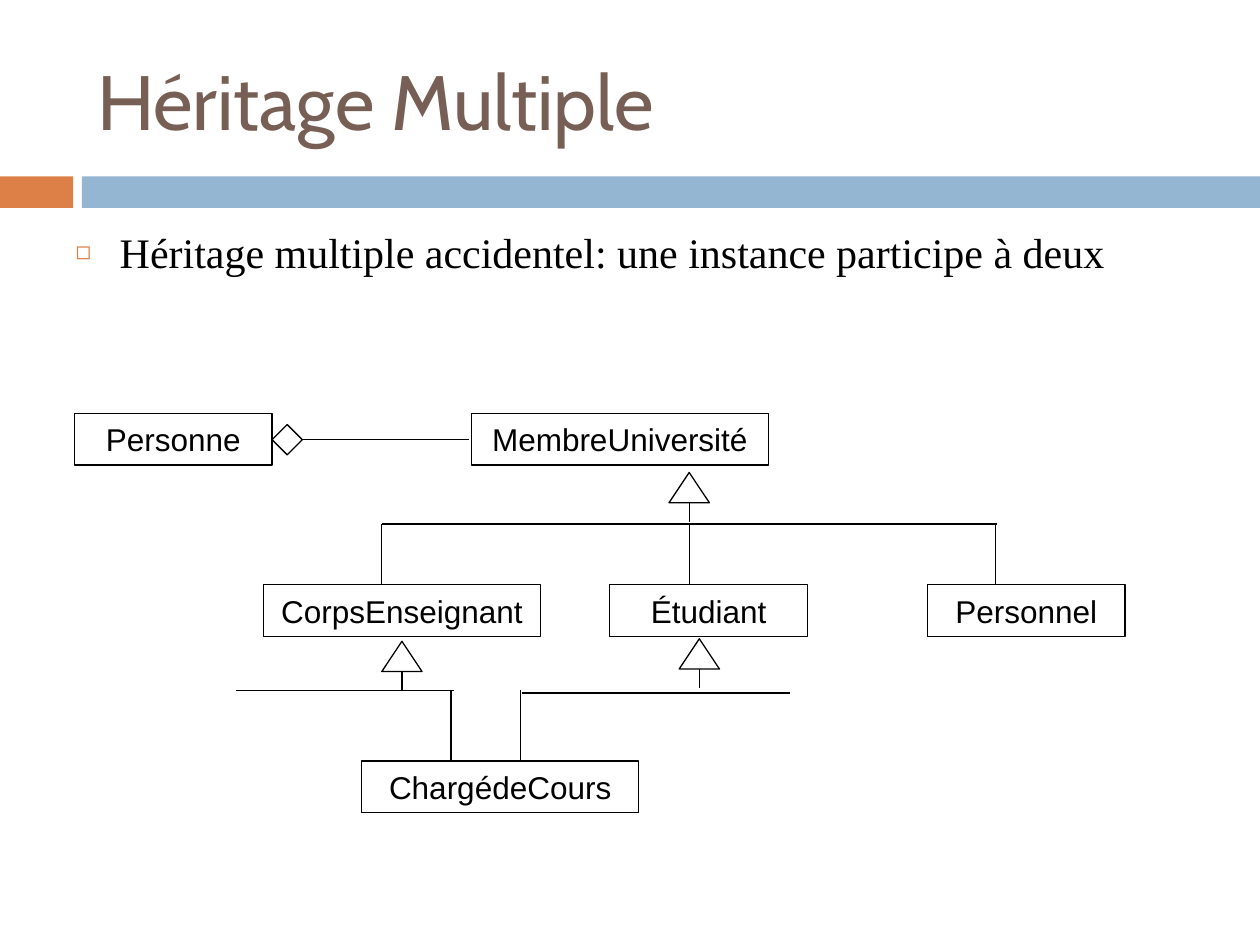
"""Build a slide on multiple inheritance with a class diagram."""
from dataclasses import dataclass

from lxml import etree
from pptx import Presentation
from pptx.dml.color import RGBColor
from pptx.enum.shapes import MSO_CONNECTOR, MSO_SHAPE
from pptx.enum.text import MSO_ANCHOR, MSO_AUTO_SIZE, PP_ALIGN
from pptx.oxml.ns import qn
from pptx.util import Inches, Pt

RECTANGLE = MSO_SHAPE.RECTANGLE
DIAMOND = MSO_SHAPE.DIAMOND
TRIANGLE = MSO_SHAPE.ISOSCELES_TRIANGLE
STRAIGHT = MSO_CONNECTOR.STRAIGHT
MIDDLE, TOP = MSO_ANCHOR.MIDDLE, MSO_ANCHOR.TOP
LEFT, CENTER = PP_ALIGN.LEFT, PP_ALIGN.CENTER
NO_AUTOFIT = MSO_AUTO_SIZE.NONE


@dataclass(frozen=True)
class Theme:
    """Colours, fonts and sizes of the slide."""
    accent: str = "DD8047"
    band: str = "94B6D2"
    title: str = "775F55"
    ink: str = "000000"
    title_font: str = "Cabin"
    body_font: str = "Times New Roman"
    label_font: str = "Arial"
    title_size: int = 44
    body_size: int = 24
    label_size: int = 18
    line_width: float = 0.75


@dataclass(frozen=True)
class Box:
    """A region in inches."""
    left: float
    top: float
    width: float
    height: float

    def emu(self):
        """Return the region as lengths."""
        return [Inches(value) for value in (self.left, self.top, self.width, self.height)]


THEME = Theme()
CLASS_HEIGHT = 0.41
CLASSES = [
    ("Personne", 0, 0, 1.57),
    ("MembreUniversité", 3.15, 0, 2.36),
    ("CorpsEnseignant", 1.5, 1.36, 2.2),
    ("Étudiant", 4.25, 1.36, 1.57),
    ("Personnel", 6.77, 1.36, 1.57),
    ("ChargédeCours", 2.28, 2.76, 2.2),
]
INHERITANCE_ARROWS = [(4.72, 0.47), (2.44, 1.81), (4.8, 1.79)]
LINKS = [
    (1.8, 0.21, 3.13, 0.21),
    (2.44, 0.88, 7.32, 0.88),
    *[(x, 0.88, x, 1.36) for x in (2.44, 4.88, 7.31)],
    (1.28, 2.2, 3.01, 2.2),
    (3.55, 2.22, 5.68, 2.22),
    *[(x, 2.2, x, 2.75) for x in (2.99, 3.54)],
]


def set_values(target, values):
    """Set each named attribute on the target."""
    for name, value in values.items():
        setattr(target, name, value)


def write_text(shape, text, font, size, color, alignment, anchor):
    """Write one formatted paragraph and return it."""
    frame = shape.text_frame
    set_values(frame, {"word_wrap": True, "auto_size": NO_AUTOFIT, "vertical_anchor": anchor})
    paragraph = frame.paragraphs[0]
    paragraph.alignment = alignment
    run = paragraph.add_run()
    run.text = text
    set_values(run.font, {"name": font, "size": Pt(size)})
    run.font.color.rgb = RGBColor.from_string(color)
    return paragraph


def place(shape, box):
    """Move a shape to a region."""
    set_values(shape, dict(zip(("left", "top", "width", "height"), box.emu())))


def add_outline(shapes, kind, box):
    """Add an unfilled shape with a thin line."""
    shape = shapes.add_shape(kind, *box.emu())
    shape.shadow.inherit = False
    shape.fill.background()
    shape.line.color.rgb = RGBColor.from_string(THEME.ink)
    shape.line.width = Pt(THEME.line_width)
    return shape


def add_line(shapes, *points):
    """Add a straight line between two points."""
    connector = shapes.add_connector(STRAIGHT, *[Inches(value) for value in points])
    connector.line.color.rgb = RGBColor.from_string(THEME.ink)
    connector.line.width = Pt(THEME.line_width)
    etree.SubElement(connector._element.spPr, qn("a:effectLst"))


def add_band(slide, box):
    """Add the two-coloured band under the title."""
    for offset, width, color in ((0, 0.58, THEME.accent), (0.65, box.width - 0.65, THEME.band)):
        part = Box(box.left + offset, box.top, width, box.height)
        shape = slide.shapes.add_shape(RECTANGLE, *part.emu())
        shape.shadow.inherit = False
        shape.fill.solid()
        shape.fill.fore_color.rgb = RGBColor.from_string(color)
        shape.line.fill.background()


def add_title(slide, box, text):
    """Fill the title placeholder."""
    title = slide.shapes.title
    place(title, box)
    write_text(title, text, THEME.title_font, THEME.title_size, THEME.title, LEFT, MIDDLE)


def add_body(slide, box, text):
    """Fill the body placeholder with one bulleted paragraph."""
    body = slide.placeholders[1]
    place(body, box)
    paragraph = write_text(body, text, THEME.body_font, THEME.body_size, THEME.ink, LEFT, TOP)
    paragraph.space_before = Pt(7)
    properties = paragraph._p.get_or_add_pPr()
    properties.set("marL", str(Inches(0.35)))
    properties.set("indent", str(Inches(-0.35)))
    bullet_color = etree.SubElement(properties, qn("a:buClr"))
    etree.SubElement(bullet_color, qn("a:srgbClr"), val=THEME.accent)
    etree.SubElement(properties, qn("a:buSzPct"), val="60000")
    etree.SubElement(properties, qn("a:buChar"), char="◻")


def add_inheritance_arrow(slide, left, top):
    """Add a grouped triangle with its short stem."""
    shapes = slide.shapes.add_group_shape().shapes
    add_outline(shapes, TRIANGLE, Box(left, top, 0.32, 0.24))
    add_line(shapes, left + 0.16, top + 0.24, left + 0.16, top + 0.39)


def add_class_diagram(slide, box):
    """Add the classes, their links and inheritance arrows."""
    for name, left, top, width in CLASSES:
        region = Box(box.left + left, box.top + top, width, CLASS_HEIGHT)
        shape = add_outline(slide.shapes, RECTANGLE, region)
        write_text(shape, name, THEME.label_font, THEME.label_size, THEME.ink, CENTER, MIDDLE)
    add_outline(slide.shapes, DIAMOND, Box(box.left + 1.57, box.top + 0.09, 0.24, 0.24))
    for left, top in INHERITANCE_ARROWS:
        add_inheritance_arrow(slide, box.left + left, box.top + top)
    for x1, y1, x2, y2 in LINKS:
        add_line(slide.shapes, box.left + x1, box.top + y1, box.left + x2, box.top + y2)


def main():
    """Build and save the presentation."""
    presentation = Presentation()
    set_values(presentation, {"slide_width": Inches(10), "slide_height": Inches(7.5)})
    slide = presentation.slides.add_slide(presentation.slide_layouts[1])
    add_band(slide, Box(0, 1.4, 10, 0.25))
    add_title(slide, Box(0.67, 0.25, 8.92, 1.08), "Héritage Multiple")
    add_body(slide, Box(0.5, 1.75, 9, 1.06),
             "Héritage multiple accidentel: une instance participe à deux")
    add_class_diagram(slide, Box(0.59, 3.28, 8.34, 3.17))
    presentation.save("out.pptx")


main()
